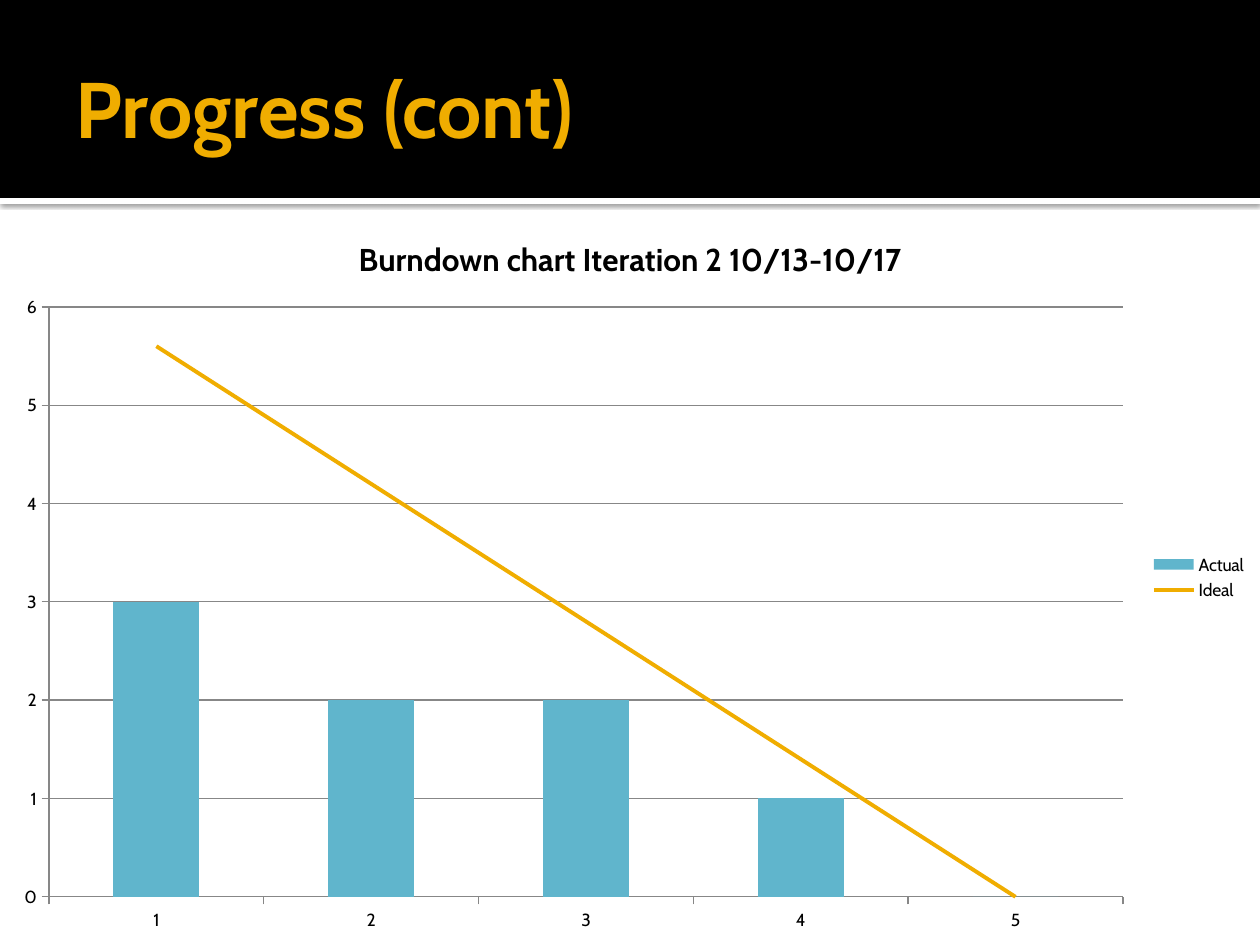
from lxml import etree
from pptx import Presentation, util as u
from pptx.chart.data import CategoryChartData
from pptx.dml.color import RGBColor
from pptx.enum import chart as charts, shapes, text
from pptx.oxml import parse_xml
from pptx.oxml.ns import nsdecls, qn

# Content
TITLE = "Progress (cont)"
CHART_TITLE = "Burndown chart Iteration 2 10/13-10/17"
DAYS = ["1", "2", "3", "4", "5"]
ACTUAL = ("Actual", (3, 2, 2, 1, 0))
IDEAL = ("Ideal", (5.6, 4.2, 2.8, 1.4, 0))

# Style and places in pixels
FONT = "Cabin"
BLACK, WHITE, GOLD, BLUE, GRAY = "000000", "FFFFFF", "F0AD00", "60B5CC", "878787"
SCALE = 914400 / 126
WIDTH, HEIGHT = 1260, 945
BAND_HEIGHT, STRIP_HEIGHT = 198, 6
TITLE_BOX = (63, 21, 1134, 173)
CHART_BOX = (0, 210, WIDTH, HEIGHT - 210)
PLOT_BOX = (49, 307, 1074, 590)


def color(hex_code):
    return RGBColor.from_string(hex_code)


def box(*pixels):
    return [u.Emu(round(value * SCALE)) for value in pixels]


def style(font, size, hex_code, bold=False):
    font.name, font.size, font.bold = FONT, u.Pt(size), bold
    font.color.rgb = color(hex_code)


def add_bar(slide, place, hex_code):
    shape = slide.shapes.add_shape(shapes.MSO_SHAPE.RECTANGLE, *box(*place))
    shape.shadow.inherit = False
    shape.fill.solid()
    shape.fill.fore_color.rgb = color(hex_code)
    shape.line.fill.background()
    return shape


presentation = Presentation()
presentation.slide_width, presentation.slide_height = box(WIDTH, HEIGHT)
slide = presentation.slides.add_slide(presentation.slide_layouts[5])
slide.background.fill.solid()
slide.background.fill.fore_color.rgb = color(WHITE)

# Header band and the shadowed strip under it
strip = add_bar(slide, (0, BAND_HEIGHT, WIDTH, STRIP_HEIGHT), WHITE)
effects = strip.element.spPr.find(qn("a:effectLst"))
effects.append(parse_xml(
    f'<a:outerShdw {nsdecls("a")} blurRad="{u.Pt(2.5)}" dist="{u.Pt(0.8)}" '
    f'dir="5400000" algn="t" rotWithShape="0"><a:srgbClr val="{BLACK}">'
    '<a:alpha val="60000"/></a:srgbClr></a:outerShdw>'))
add_bar(slide, (0, 0, WIDTH, BAND_HEIGHT), BLACK)

# Title, in front of the band
title = slide.shapes.title
title.left, title.top, title.width, title.height = box(*TITLE_BOX)
slide.shapes.element.append(title.element)
frame = title.text_frame
frame.word_wrap = True
frame.auto_size = text.MSO_AUTO_SIZE.NONE
frame.vertical_anchor = text.MSO_ANCHOR.MIDDLE
frame.margin_left = u.Inches(0.1)
frame.margin_top = frame.margin_right = frame.margin_bottom = u.Inches(0.05)
paragraph = frame.paragraphs[0]
paragraph.alignment = text.PP_ALIGN.LEFT
run = paragraph.add_run()
run.text = TITLE
style(run.font, 45, GOLD, True)

# Chart
data = CategoryChartData()
data.categories = DAYS
for name, values in (ACTUAL, IDEAL):
    data.add_series(name, values)
chart = slide.shapes.add_chart(
    charts.XL_CHART_TYPE.COLUMN_CLUSTERED, *box(*CHART_BOX), data).chart
style(chart.font, 10, BLACK)
chart.has_title = True
run = chart.chart_title.text_frame.paragraphs[0].add_run()
run.text = CHART_TITLE
style(run.font, 18, BLACK, True)
chart.has_legend = True
chart.legend.position = charts.XL_LEGEND_POSITION.RIGHT
chart.legend.include_in_layout = False

# Axes
for axis in (chart.category_axis, chart.value_axis):
    axis.major_tick_mark = charts.XL_TICK_MARK.OUTSIDE
    axis.minor_tick_mark = charts.XL_TICK_MARK.NONE
    axis.format.line.color.rgb = color(GRAY)
    axis.format.line.width = u.Pt(0.75)
value_axis = chart.value_axis
value_axis.minimum_scale, value_axis.maximum_scale, value_axis.major_unit = 0, 6, 1
value_axis.has_major_gridlines = True
value_axis.major_gridlines.format.line.color.rgb = color(GRAY)
value_axis.major_gridlines.format.line.width = u.Pt(0.75)

# Series colours
plot = chart.plots[0]
plot.gap_width, plot.vary_by_categories = 150, False
actual, ideal = plot.series
actual.format.fill.solid()
actual.format.fill.fore_color.rgb = color(BLUE)
ideal.format.line.color.rgb = color(GOLD)
ideal.format.line.width = u.Pt(2.25)

# The ideal series becomes a line on the same axes
bars = chart.element.find(".//" + qn("c:barChart"))
series = bars.findall(qn("c:ser"))[1]
for flag in series.findall(qn("c:invertIfNegative")):
    series.remove(flag)
series.find(qn("c:spPr")).addnext(parse_xml(
    f'<c:marker {nsdecls("c")}><c:symbol val="none"/></c:marker>'))
for smooth in series.findall(qn("c:smooth")):
    series.remove(smooth)
etree.SubElement(series, qn("c:smooth")).set("val", "0")
line = parse_xml(f'<c:lineChart {nsdecls("c")}><c:grouping val="standard"/>'
                 '<c:varyColors val="0"/></c:lineChart>')
line.append(series)
etree.SubElement(line, qn("c:marker")).set("val", "1")
for axis_id in bars.findall(qn("c:axId")):
    etree.SubElement(line, qn("c:axId")).set("val", axis_id.get("val"))
bars.addnext(line)

# Inner plot area as fractions of the chart
left, top, width, height = PLOT_BOX
fractions = {"x": (left - CHART_BOX[0]) / CHART_BOX[2], "y": (top - CHART_BOX[1]) / CHART_BOX[3],
             "w": width / CHART_BOX[2], "h": height / CHART_BOX[3]}
area = bars.getparent()
for old in area.findall(qn("c:layout")):
    area.remove(old)
area.insert(0, parse_xml(
    f'<c:layout {nsdecls("c")}><c:manualLayout><c:layoutTarget val="inner"/>'
    '<c:xMode val="edge"/><c:yMode val="edge"/>'
    + "".join(f'<c:{key} val="{value:.4f}"/>' for key, value in fractions.items())
    + '</c:manualLayout></c:layout>'))

presentation.save("out.pptx")
